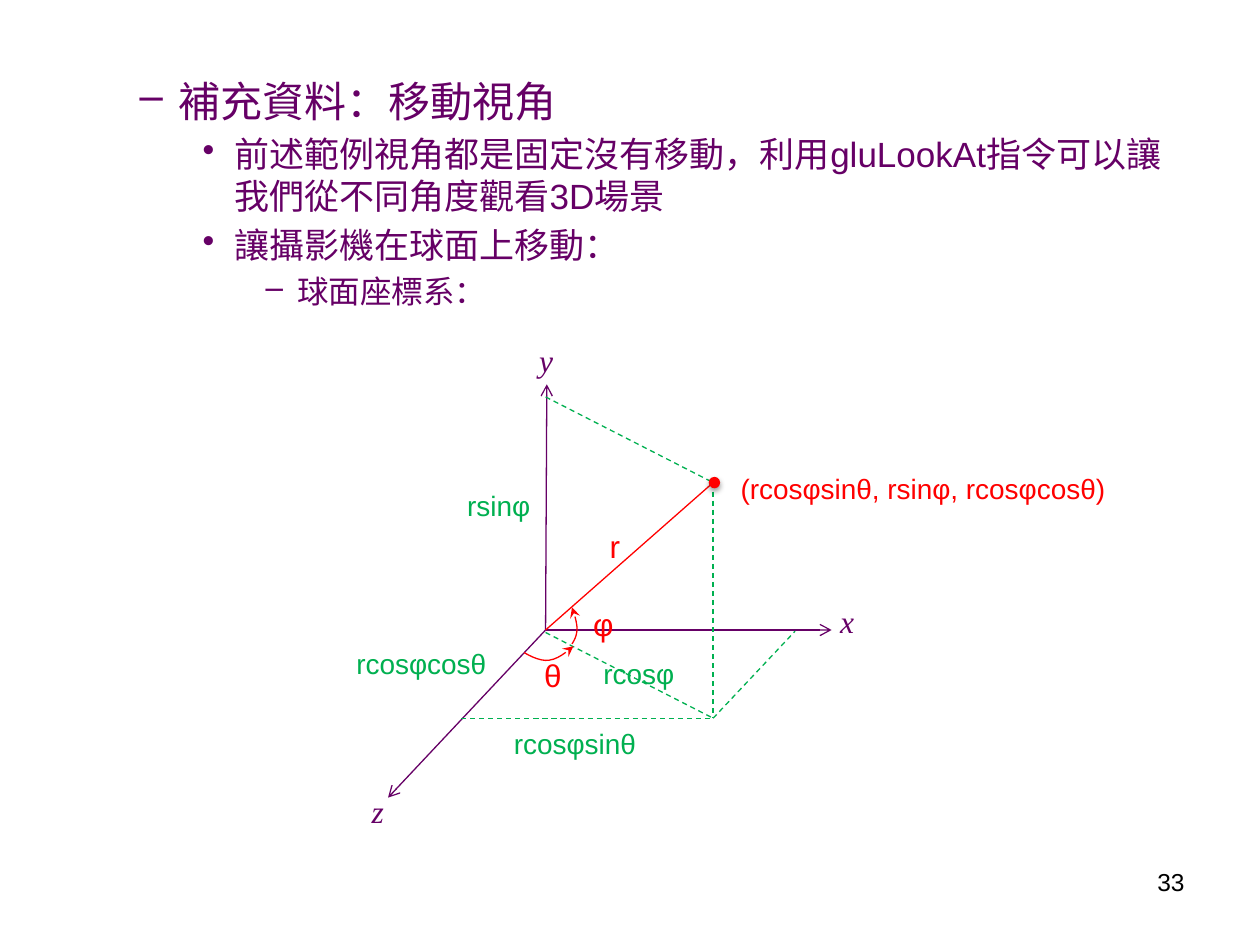
"""Build a slide explaining spherical coordinates for a moving camera."""
from dataclasses import dataclass

from lxml.etree import SubElement
from pptx import Presentation
from pptx.dml.color import RGBColor
from pptx.enum.dml import MSO_LINE
from pptx.enum.shapes import MSO_CONNECTOR, MSO_SHAPE
from pptx.enum.text import PP_ALIGN
from pptx.oxml.ns import qn
from pptx.util import Inches, Pt

Point = tuple[float, float]


@dataclass(frozen=True)
class Theme:
    purple: RGBColor = RGBColor(0x66, 0x00, 0x66)
    red: RGBColor = RGBColor(0xFF, 0x00, 0x00)
    green: RGBColor = RGBColor(0x00, 0xB0, 0x50)
    black: RGBColor = RGBColor(0x00, 0x00, 0x00)
    sans: str = "Arial"
    serif: str = "Times New Roman"
    heading: int = 24
    body: int = 20
    symbol: int = 18
    label: int = 16
    number: int = 14
    line: float = 0.75


THEME = Theme()


@dataclass(frozen=True)
class Bullet:
    text: str
    level: int
    mark: str
    margin: float
    hanging: float
    size: int


@dataclass(frozen=True)
class Segment:
    start: Point
    end: Point
    color: RGBColor
    dashed: bool = False
    head: str | None = None


@dataclass(frozen=True)
class Label:
    text: str
    left: float
    top: float
    width: float
    color: RGBColor
    size: int = THEME.label
    height: float = 0.37
    font: str = THEME.sans
    italic: bool = False
    align: PP_ALIGN = PP_ALIGN.LEFT


ORIGIN = (4.33, 5.0)
CAMERA = (5.66, 3.83)
FLOOR = (5.66, 5.7)

BULLETS = [
    Bullet("補充資料：移動視角", 1, "–", 0.81, 0.31, THEME.heading),
    Bullet("前述範例視角都是固定沒有移動，利用gluLookAt指令可以讓我們從不同角度觀看3D場景",
           2, "•", 1.25, 0.25, THEME.body),
    Bullet("讓攝影機在球面上移動：", 2, "•", 1.25, 0.25, THEME.body),
    Bullet("球面座標系：", 3, "–", 1.75, 0.25, THEME.symbol),
]

SEGMENTS = [
    *(Segment(ORIGIN, tip, THEME.purple, head="arrow")
      for tip in ((6.6, 5.0), (4.34, 3.05), (3.08, 6.33))),
    Segment(ORIGIN, CAMERA, THEME.red),
    *(Segment(start, end, THEME.green, dashed=True)
      for start, end in ((CAMERA, FLOOR), ((4.33, 5.02), FLOOR), ((3.66, 5.7), FLOOR),
                         (FLOOR, (6.31, 5.01)), ((4.33, 3.15), CAMERA))),
]

ARCS = [
    [(4.16, 5.18), (4.23, 5.22), (4.3, 5.25), (4.36, 5.24),
     (4.43, 5.23), (4.49, 5.18), (4.55, 5.13)],
    [(4.54, 5.11), (4.56, 5.08), (4.58, 5.04), (4.58, 4.99),
     (4.58, 4.94), (4.56, 4.88), (4.54, 4.82)],
]

LABELS = [
    *(Label(text, left, top, 0.38, THEME.purple, THEME.symbol, 0.4, THEME.serif, True)
      for text, left, top in (("x", 6.57, 4.73), ("y", 4.18, 2.66), ("z", 2.85, 6.24))),
    *(Label(text, left, top, 0.47, THEME.red, THEME.symbol, 0.4)
      for text, left, top in (("θ", 4.22, 5.16), ("φ", 4.61, 4.75), ("r", 4.74, 4.13))),
    Label("rsinφ", 3.61, 3.83, 0.94, THEME.green),
    Label("rcosφ", 4.69, 5.16, 0.94, THEME.green),
    Label("rcosφsinθ", 3.98, 5.72, 1.33, THEME.green),
    Label("rcosφcosθ", 2.73, 5.08, 1.33, THEME.green),
    Label("(rcosφsinθ, rsinφ, rcosφcosθ)", 5.78, 3.69, 3.2, THEME.red),
    Label("33", 7.17, 6.83, 2.33, THEME.black, THEME.number, 0.52, align=PP_ALIGN.RIGHT),
]


def add_frame(slide, left: float, top: float, width: float, height: float):
    box = slide.shapes.add_textbox(Inches(left), Inches(top), Inches(width), Inches(height))
    box.text_frame.word_wrap = True
    return box.text_frame


def write(paragraph, text: str, *, size: int, color: RGBColor, font: str = THEME.sans,
          italic: bool = False, align: PP_ALIGN = PP_ALIGN.LEFT) -> None:
    paragraph.alignment = align
    run = paragraph.add_run()
    run.text = text
    run.font.size = Pt(size)
    run.font.name = font
    run.font.italic = italic
    run.font.color.rgb = color


def add_bullets(slide, bullets: list[Bullet]) -> None:
    frame = add_frame(slide, 0.51, 0.55, 9, 6.18)
    for index, bullet in enumerate(bullets):
        paragraph = frame.add_paragraph() if index else frame.paragraphs[0]
        paragraph.level = bullet.level
        properties = paragraph._p.get_or_add_pPr()
        properties.set("marL", str(Inches(bullet.margin)))
        properties.set("indent", str(-Inches(bullet.hanging)))
        SubElement(properties, qn("a:buChar"), char=bullet.mark)
        if index:
            paragraph.space_before = Pt(bullet.size * 0.2)
        write(paragraph, bullet.text, size=bullet.size, color=THEME.purple)


def add_label(slide, label: Label) -> None:
    frame = add_frame(slide, label.left, label.top, label.width, label.height)
    write(frame.paragraphs[0], label.text, size=label.size, color=label.color,
          font=label.font, italic=label.italic, align=label.align)


def style_line(shape, color: RGBColor, dashed: bool = False, head: str | None = None) -> None:
    shape.line.color.rgb = color
    shape.line.width = Pt(THEME.line)
    if dashed:
        shape.line.dash_style = MSO_LINE.DASH
    if head:
        SubElement(shape.line._get_or_add_ln(), qn("a:tailEnd"), type=head)


def add_segment(slide, segment: Segment) -> None:
    ends = [Inches(value) for value in (*segment.start, *segment.end)]
    connector = slide.shapes.add_connector(MSO_CONNECTOR.STRAIGHT, *ends)
    style_line(connector, segment.color, segment.dashed, segment.head)
    SubElement(connector._element.spPr, qn("a:effectLst"))


def bezier_point(controls: list[Point], t: float) -> Point:
    weights = ((1 - t) ** 3, 3 * t * (1 - t) ** 2, 3 * t ** 2 * (1 - t), t ** 3)
    x, y = (sum(w * value for w, value in zip(weights, axis)) for axis in zip(*controls))
    return Inches(x), Inches(y)


def add_arc(slide, controls: list[Point], steps: int = 6) -> None:
    points = [bezier_point(controls[first:first + 4], step / steps)
              for first in (0, 3) for step in range(1, steps + 1)]
    builder = slide.shapes.build_freeform(*(Inches(value) for value in controls[0]))
    builder.add_line_segments(points, close=False)
    arc = builder.convert_to_shape()
    arc.fill.background()
    arc.shadow.inherit = False
    style_line(arc, THEME.red, head="stealth")


def add_camera(slide) -> None:
    size = Inches(0.08)
    dot = slide.shapes.add_shape(MSO_SHAPE.OVAL, Inches(5.63), Inches(3.79), size, size)
    dot.fill.solid()
    dot.fill.fore_color.rgb = THEME.red
    style_line(dot, THEME.red)
    effects = SubElement(dot._element.spPr, qn("a:effectLst"))
    shadow = SubElement(effects, qn("a:outerShdw"), blurRad=str(Pt(3.1)), dist=str(Pt(1.6)),
                        dir="5400000", rotWithShape="0")
    color = SubElement(shadow, qn("a:srgbClr"), val=str(THEME.black))
    SubElement(color, qn("a:alpha"), val="38000")


def main() -> None:
    presentation = Presentation()
    presentation.slide_width, presentation.slide_height = Inches(10), Inches(7.5)
    slide = presentation.slides.add_slide(presentation.slide_layouts[6])
    add_bullets(slide, BULLETS)
    for segment in SEGMENTS:
        add_segment(slide, segment)
    for controls in ARCS:
        add_arc(slide, controls)
    for label in LABELS:
        add_label(slide, label)
    add_camera(slide)
    presentation.save("out.pptx")


if __name__ == "__main__":
    main()
